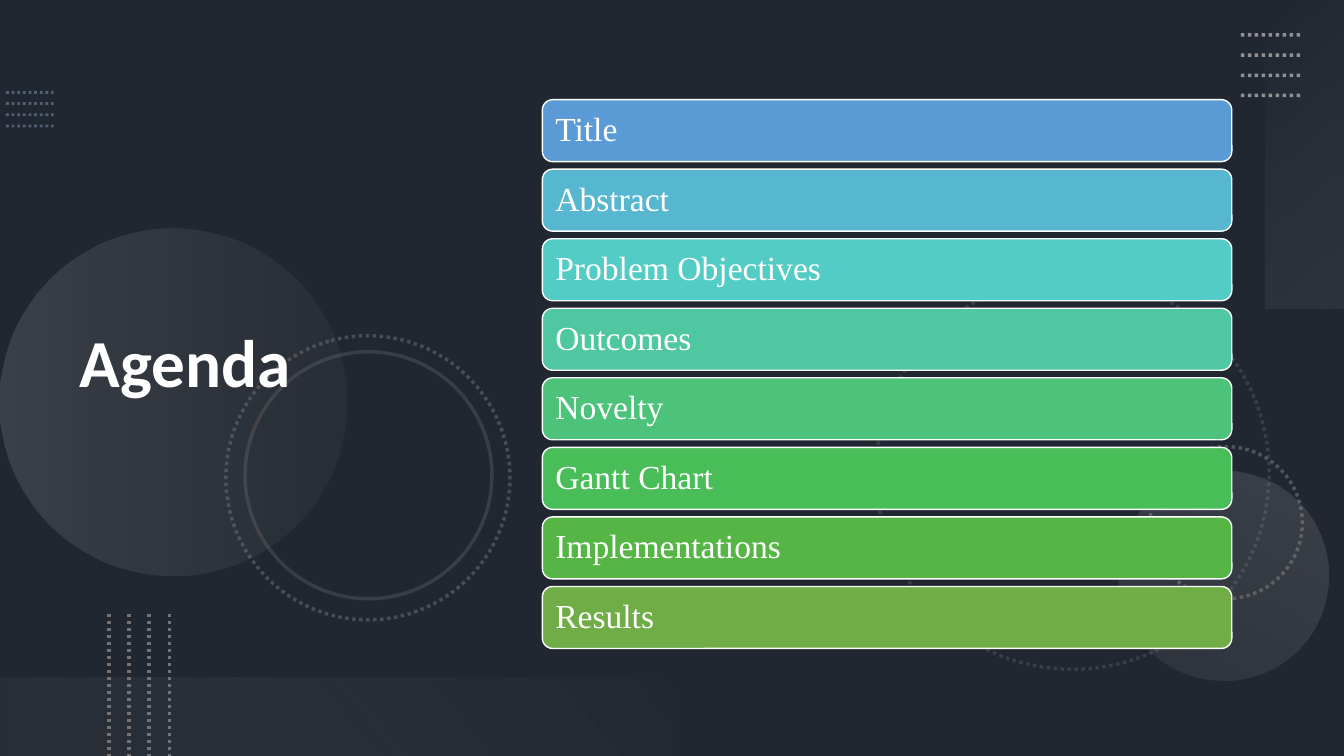
from pptx import Presentation
from pptx.dml.color import RGBColor
from pptx.enum.dml import MSO_LINE
from pptx.enum.shapes import MSO_CONNECTOR, MSO_SHAPE
from pptx.enum.text import MSO_ANCHOR, MSO_AUTO_SIZE, PP_ALIGN
from pptx.oxml.ns import qn
from pptx.oxml.xmlchemy import OxmlElement
from pptx.util import Pt

RECTANGLE = MSO_SHAPE.RECTANGLE
ELLIPSE = MSO_SHAPE.OVAL
ROUNDED = MSO_SHAPE.ROUNDED_RECTANGLE
STRAIGHT = MSO_CONNECTOR.STRAIGHT
DOTTED = MSO_LINE.ROUND_DOT
SOLID = MSO_LINE.SOLID
MIDDLE = MSO_ANCHOR.MIDDLE
NO_AUTOFIT = MSO_AUTO_SIZE.NONE
LEFT = PP_ALIGN.LEFT

SLATE = RGBColor(0x44, 0x54, 0x6A)
BLACK = RGBColor(0x00, 0x00, 0x00)
WHITE = RGBColor(0xFF, 0xFF, 0xFF)
STEEL = RGBColor(0x84, 0x97, 0xB0)
GREY = RGBColor(0x76, 0x71, 0x71)
SILVER = RGBColor(0xAF, 0xAB, 0xAB)
MIST = RGBColor(0xF5, 0xF5, 0xF5)
PEARL = RGBColor(0xF1, 0xF0, 0xF0)

SLIDE_WIDTH, SLIDE_HEIGHT = 960, 540
BAR_GAP = 5.4
AGENDA = [
    ("Title", RGBColor(0x5B, 0x9B, 0xD5)),
    ("Abstract", RGBColor(0x57, 0xB7, 0xD1)),
    ("Problem Objectives", RGBColor(0x53, 0xCC, 0xC5)),
    ("Outcomes", RGBColor(0x4F, 0xC7, 0xA0)),
    ("Novelty", RGBColor(0x4C, 0xC2, 0x7B)),
    ("Gantt Chart", RGBColor(0x48, 0xBD, 0x58)),
    ("Implementations", RGBColor(0x55, 0xB6, 0x46)),
    ("Results", RGBColor(0x70, 0xAD, 0x47)),
]


def set_opacity(shape, percentages):
    colours = shape._element.spPr.iter(qn("a:srgbClr"))
    for colour, percentage in zip(list(colours), percentages):
        alpha = OxmlElement("a:alpha")
        alpha.set("val", str(percentage * 1000))
        colour.append(alpha)


def add_plain_shape(slide, kind, box, rotation=0):
    shape = slide.shapes.add_shape(kind, *map(Pt, box))
    shape.rotation = rotation
    shape.shadow.inherit = False
    shape.line.fill.background()
    return shape


def add_overlay(slide, box):
    overlay = add_plain_shape(slide, RECTANGLE, box)
    overlay.fill.solid()
    overlay.fill.fore_color.rgb = BLACK
    set_opacity(overlay, [53])


def add_gradient_shape(slide, kind, box, rotation, angle, stops):
    shape = add_plain_shape(slide, kind, box, rotation)
    shape.fill.gradient()
    shape.fill.gradient_angle = 360 - angle
    for gradient_stop, (position, colour, _) in zip(shape.fill.gradient_stops, stops):
        gradient_stop.position = position
        gradient_stop.color.rgb = colour
    set_opacity(shape, [opacity for _, _, opacity in stops])


def add_ring(slide, box, rotation, dash, opacity):
    ring = add_plain_shape(slide, ELLIPSE, box, rotation)
    ring.fill.background()
    ring.line.color.rgb = GREY
    ring.line.width = Pt(2.5)
    ring.line.dash_style = dash
    set_opacity(ring, [opacity])


def add_dotted_lines(slide, box, colour, width, opacity, count=4, vertical=False):
    left, top, box_width, box_height = box
    for index in range(count):
        share = index / (count - 1)
        if vertical:
            x = left + box_width * share
            ends = (x, top, x, top + box_height)
        else:
            y = top + box_height * share
            ends = (left, y, left + box_width, y)
        connector = slide.shapes.add_connector(STRAIGHT, *map(Pt, ends))
        connector.line.color.rgb = colour
        connector.line.width = Pt(width)
        connector.line.dash_style = DOTTED
        set_opacity(connector, [opacity])
        connector._element.spPr.append(OxmlElement("a:effectLst"))


def add_decoration(slide):
    add_dotted_lines(slide, (4.3, 66, 34, 24), STEEL, 2, 50)
    add_ring(slide, (625.7, 197.3, 280.8, 280.8), 75, DOTTED, 30)
    add_ring(slide, (821.5, 319, 108.7, 108.7), 270, DOTTED, 60)
    add_gradient_shape(slide, ELLIPSE, (0, 163.4, 247.7, 247.7), 270, 90,
                       [(0, SILVER, 20), (1, GREY, 10)])
    add_gradient_shape(slide, ELLIPSE, (799.2, 336.2, 149.8, 149.8), 210, 90,
                       [(0, SILVER, 10), (1, SILVER, 20)])
    add_ring(slide, (161.3, 239.8, 203, 203), 75, DOTTED, 50)
    add_ring(slide, (175, 251.3, 176.4, 176.4), 75, SOLID, 30)
    add_gradient_shape(slide, RECTANGLE, (822.2, 82.1, 220.3, 56.2), 270, 140,
                       [(0, MIST, 0), (1, SILVER, 10)])
    add_dotted_lines(slide, (886.3, 25, 43.2, 43.2), SILVER, 2.5, 80)
    add_gradient_shape(slide, RECTANGLE, (0, 483.8, 480.2, 56.2), 180, 140,
                       [(0.1, GREY, 10), (1, PEARL, 0)])
    add_dotted_lines(slide, (77.8, 438.5, 43.2, 101.5), GREY, 2.5, 100, vertical=True)


def format_text(text_frame, text, font_name, size, bold, space_after):
    text_frame.text = text
    text_frame.word_wrap = True
    text_frame.auto_size = NO_AUTOFIT
    text_frame.vertical_anchor = MIDDLE
    paragraph = text_frame.paragraphs[0]
    paragraph.alignment = LEFT
    paragraph.line_spacing = 0.9
    paragraph.space_after = Pt(space_after)
    font = paragraph.runs[0].font
    font.name = font_name
    font.size = Pt(size)
    font.bold = bold
    font.color.rgb = WHITE


def place_title(slide, box):
    title = slide.shapes.title
    title.left, title.top, title.width, title.height = map(Pt, box)
    format_text(title.text_frame, "Agenda", "Calibri", 48, True, 6)
    slide.shapes._spTree.append(title._element)


def add_agenda(slide, box):
    left, top, width, height = box
    pitch = (height + BAR_GAP) / len(AGENDA)
    for index, (label, colour) in enumerate(AGENDA):
        bar_box = (left, top + index * pitch, width, pitch - BAR_GAP)
        bar = add_plain_shape(slide, ROUNDED, bar_box)
        bar.fill.solid()
        bar.fill.fore_color.rgb = colour
        bar.line.color.rgb = WHITE
        bar.line.width = Pt(1)
        format_text(bar.text_frame, label, "Times New Roman", 24, False, 0)


def main():
    presentation = Presentation()
    presentation.slide_width = Pt(SLIDE_WIDTH)
    presentation.slide_height = Pt(SLIDE_HEIGHT)
    slide = presentation.slides.add_slide(presentation.slide_layouts[5])
    slide.background.fill.solid()
    slide.background.fill.fore_color.rgb = SLATE
    add_overlay(slide, (0, 0, SLIDE_WIDTH, SLIDE_HEIGHT))
    add_decoration(slide)
    place_title(slide, (49.7, 38.9, 330.5, 444.2))
    add_agenda(slide, (387.4, 71.2, 492.5, 392))
    presentation.save("out.pptx")


if __name__ == "__main__":
    main()
